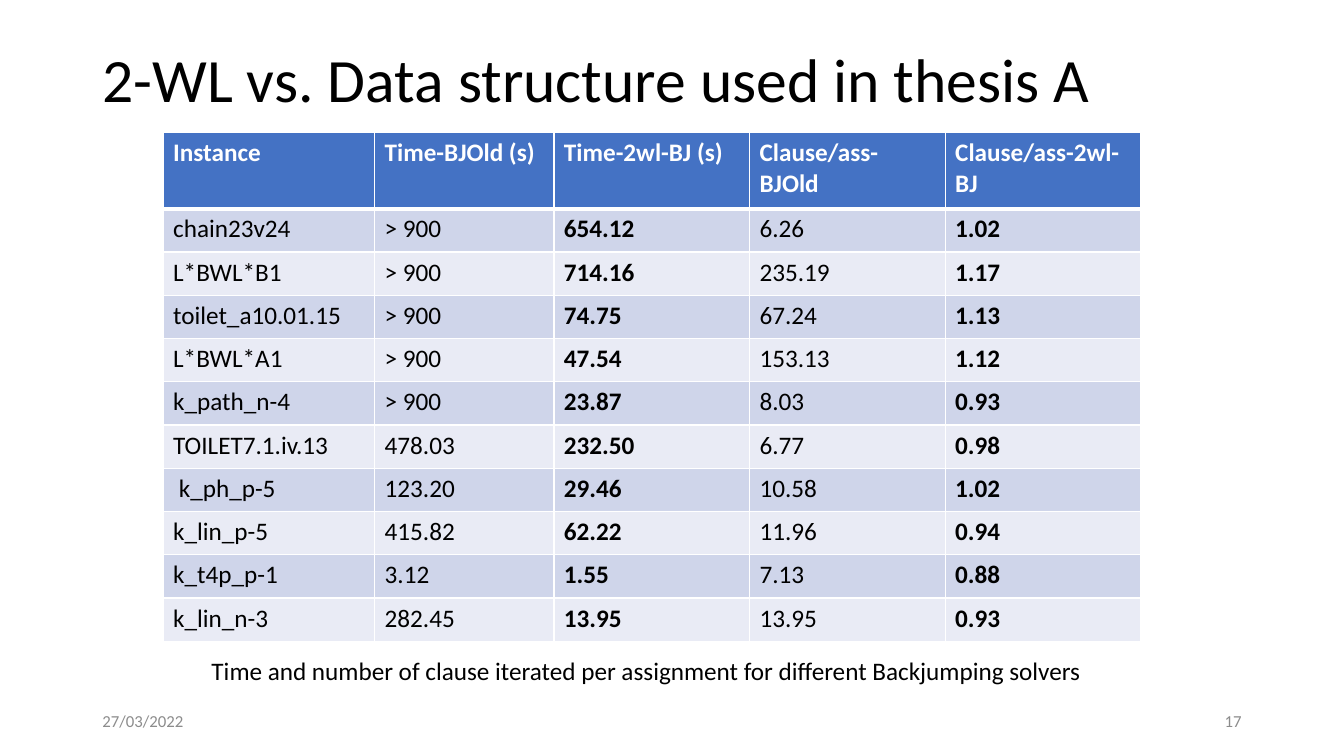
from dataclasses import dataclass

from lxml.etree import SubElement
from pptx import Presentation
from pptx.dml.color import RGBColor
from pptx.enum.text import MSO_ANCHOR, PP_ALIGN
from pptx.oxml.ns import qn
from pptx.util import Cm, Pt


@dataclass(frozen=True)
class Theme:
    font: str = "Calibri"
    text: str = "000000"
    muted: str = "8C8C8C"
    white: str = "FFFFFF"
    header: str = "4472C4"
    bands: tuple = ("CFD5EA", "E9EBF5")
    title_size: int = 44
    body_size: int = 18
    footer_size: int = 12
    border: int = 1
    header_border: int = 3


@dataclass(frozen=True)
class Box:
    left: float
    top: float
    width: float
    height: float

    def lengths(self):
        return Cm(self.left), Cm(self.top), Cm(self.width), Cm(self.height)


THEME = Theme()
COLUMN_WIDTHS = (5.33, 4.52, 4.93, 4.93, 4.93)
HEADER_HEIGHT = 1.92
BOLD_COLUMNS = (2, 4)
HEADINGS = ("Instance", "Time-BJOld (s)", "Time-2wl-BJ (s)",
            "Clause/ass-BJOld", "Clause/ass-2wl-BJ")
RESULTS = (
    ("chain23v24", "> 900", "654.12", "6.26", "1.02"),
    ("L*BWL*B1", "> 900", "714.16", "235.19", "1.17"),
    ("toilet_a10.01.15", "> 900", "74.75", "67.24", "1.13"),
    ("L*BWL*A1", "> 900", "47.54", "153.13", "1.12"),
    ("k_path_n-4", "> 900", "23.87", "8.03", "0.93"),
    ("TOILET7.1.iv.13", "478.03", "232.50", "6.77", "0.98"),
    (" k_ph_p-5", "123.20", "29.46", "10.58", "1.02"),
    ("k_lin_p-5", "415.82", "62.22", "11.96", "0.94"),
    ("k_t4p_p-1", "3.12", "1.55", "7.13", "0.88"),
    ("k_lin_n-3", "282.45", "13.95", "13.95", "0.93"),
)


def style_paragraph(paragraph, size, color, bold=False):
    font = paragraph.font
    font.name = THEME.font
    font.size = Pt(size)
    font.bold = bold
    font.color.rgb = RGBColor.from_string(color)


def add_text(slide, box, text, size, color=THEME.text, anchor=MSO_ANCHOR.MIDDLE,
             alignment=PP_ALIGN.LEFT, wrap=True):
    frame = slide.shapes.add_textbox(*box.lengths()).text_frame
    frame.word_wrap = wrap
    frame.vertical_anchor = anchor
    paragraph = frame.paragraphs[0]
    paragraph.text = text
    paragraph.alignment = alignment
    style_paragraph(paragraph, size, color)
    return paragraph


def add_title(slide, box, text):
    add_text(slide, box, text, THEME.title_size).line_spacing = 0.9


def set_borders(cell, widths):
    properties = cell._tc.get_or_add_tcPr()
    for side, width in zip(("L", "R", "T", "B"), widths):
        line = SubElement(properties, qn(f"a:ln{side}"), w=str(Pt(width)))
        fill = SubElement(line, qn("a:solidFill"))
        SubElement(fill, qn("a:srgbClr"), val=THEME.white)


def fill_cell(cell, text, row, column):
    is_header = row == 0
    top = THEME.header_border if row == 1 else THEME.border
    bottom = THEME.header_border if is_header else THEME.border
    set_borders(cell, (THEME.border, THEME.border, top, bottom))
    cell.fill.solid()
    background = THEME.header if is_header else THEME.bands[(row - 1) % 2]
    cell.fill.fore_color.rgb = RGBColor.from_string(background)
    cell.text = text
    style_paragraph(cell.text_frame.paragraphs[0], THEME.body_size,
                    THEME.white if is_header else THEME.text,
                    is_header or column in BOLD_COLUMNS)


def add_results_table(slide, box):
    rows = (HEADINGS, *RESULTS)
    table = slide.shapes.add_table(len(rows), len(HEADINGS), *box.lengths()).table
    for column, width in zip(table.columns, COLUMN_WIDTHS):
        column.width = Cm(width)
    row_height = (box.height - HEADER_HEIGHT) / len(RESULTS)
    for row_index, values in enumerate(rows):
        table.rows[row_index].height = Cm(row_height if row_index else HEADER_HEIGHT)
        for column_index, value in enumerate(values):
            fill_cell(table.cell(row_index, column_index), value, row_index, column_index)


def add_caption(slide, box, text):
    add_text(slide, box, text, THEME.body_size, anchor=MSO_ANCHOR.TOP, wrap=False)


def add_footer(slide, box, date, number):
    part_width = 7.62
    number_left = box.left + box.width - part_width
    for left, text, alignment in ((box.left, date, PP_ALIGN.LEFT),
                                  (number_left, number, PP_ALIGN.RIGHT)):
        part = Box(left, box.top, part_width, box.height)
        add_text(slide, part, text, THEME.footer_size, THEME.muted, alignment=alignment)


def build_slide(presentation):
    slide = presentation.slides.add_slide(presentation.slide_layouts[6])
    add_title(slide, Box(2.33, 0.25, 29.21, 3.68), "2-WL vs. Data structure used in thesis A")
    add_results_table(slide, Box(4.11, 3.34, sum(COLUMN_WIDTHS), 12.82))
    add_caption(slide, Box(5.08, 16.4, 22.56, 1.03),
                "Time and number of clause iterated per assignment for different Backjumping solvers")
    add_footer(slide, Box(2.33, 17.65, 29.21, 1.01), "27/03/2022", "17")


presentation = Presentation()
presentation.slide_width = Cm(33.87)
presentation.slide_height = Cm(19.05)
build_slide(presentation)
presentation.save("out.pptx")
